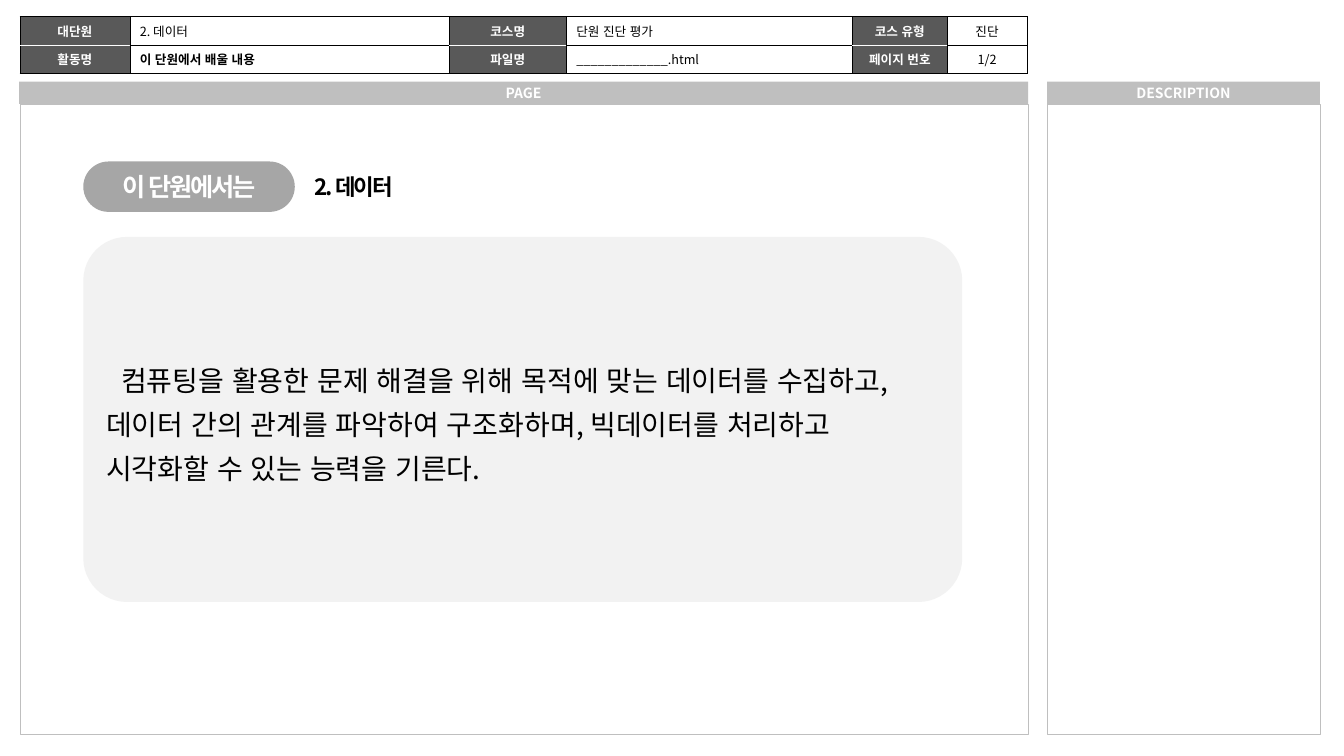
import pptx
import pptx.util
import pptx.dml.color
import pptx.enum.lang
import pptx.enum.shapes
import pptx.enum.text
import pptx.oxml
import pptx.oxml.ns

Cm = pptx.util.Cm
RGB = pptx.dml.color.RGBColor
ALIGN = pptx.enum.text.PP_ALIGN
ANCHOR = pptx.enum.text.MSO_ANCHOR
PRESET = pptx.enum.shapes.MSO_SHAPE

WHITE = RGB(0xFF, 0xFF, 0xFF)
BLACK = RGB(0, 0, 0)
LABEL_GRAY = RGB(0x59, 0x59, 0x59)
BAR_GRAY = RGB(0xBF, 0xBF, 0xBF)
PILL_GRAY = RGB(0xA6, 0xA6, 0xA6)
CARD_GRAY = RGB(0xF2, 0xF2, 0xF2)
FONT = "Noto Sans CJK KR"
HAIRLINE = pptx.util.Pt(0.25)
PLAIN_STYLE = "{2D5ABB26-0587-4C30-8999-92F81FD0307C}"

COLUMN_WIDTHS = [2.77, 8.05, 2.95, 7.21, 2.39, 2.01]
LABELS = [
    ["대단원", "", "코스명", "", "코스 유형", ""],
    ["활동명", "", "파일명", "", "페이지 번호", ""],
]
ENTRIES = [
    ["", "2. 데이터", "", "단원 진단 평가", "", "진단"],
    ["", "이 단원에서 배울 내용", "", "_____________.html", "", "1/2"],
]
GOAL = (
    "컴퓨팅을 활용한 문제 해결을 위해 목적에 맞는 데이터를 수집하고, "
    "데이터 간의 관계를 파악하여 구조화하며, 빅데이터를 처리하고 "
    "시각화할 수 있는 능력을 기른다."
)


def write(frame, text, size, color, bold=False, align=ALIGN.LEFT, spacing=0):
    paragraph = frame.paragraphs[0]
    paragraph.alignment = align
    if not text:
        paragraph._p.append(pptx.oxml.parse_xml(
            f'<a:endParaRPr {pptx.oxml.ns.nsdecls("a")} sz="{size * 100}"/>'
        ))
        return paragraph
    run = paragraph.add_run()
    run.text = text
    run.font.color.rgb = color
    formats = {
        "size": pptx.util.Pt(size), "bold": bold, "name": FONT,
        "language_id": pptx.enum.lang.MSO_LANGUAGE_ID.KOREAN,
    }
    for attribute, value in formats.items():
        setattr(run.font, attribute, value)
    properties = run.font._element
    properties.append(pptx.oxml.parse_xml(
        f'<a:ea {pptx.oxml.ns.nsdecls("a")} typeface="{FONT}"/>'
    ))
    if spacing:
        properties.set("spc", str(int(spacing * 100)))
    return paragraph


def add_block(slide, preset, box, fill, outline=None, rounding=None):
    block = slide.shapes.add_shape(preset, *map(Cm, box))
    block.shadow.inherit = False
    block.fill.solid()
    block.fill.fore_color.rgb = fill
    if outline is None:
        block.line.fill.background()
    else:
        block.line.color.rgb = outline
        block.line.width = HAIRLINE
    if rounding is not None:
        block.adjustments[0] = rounding
    block.text_frame.word_wrap = True
    block.text_frame.vertical_anchor = ANCHOR.MIDDLE
    return block


def set_borders(cell, colors):
    for side, color in colors.items():
        cell._tc.get_or_add_tcPr().append(pptx.oxml.parse_xml(
            f'<a:ln{side} {pptx.oxml.ns.nsdecls("a")} w="{int(HAIRLINE)}">'
            f'<a:solidFill><a:srgbClr val="{color}"/></a:solidFill></a:ln{side}>'
        ))


def add_grid(slide, texts, left, top, row_height):
    table = slide.shapes.add_table(
        len(texts), len(COLUMN_WIDTHS), Cm(left), Cm(top),
        Cm(sum(COLUMN_WIDTHS)), Cm(row_height * len(texts)),
    ).table
    table.first_row = table.horz_banding = False
    table._tbl.tblPr.find(pptx.oxml.ns.qn("a:tableStyleId")).text = PLAIN_STYLE
    for column, width in zip(table.columns, COLUMN_WIDTHS):
        column.width = Cm(width)
    for row in table.rows:
        row.height = Cm(row_height)
    for cell in table.iter_cells():
        cell.vertical_anchor = ANCHOR.MIDDLE
    return table


def add_labels(slide, left, top, row_height):
    table = add_grid(slide, LABELS, left, top, row_height)
    for r, labels in enumerate(LABELS):
        for c, label in enumerate(labels):
            cell = table.cell(r, c)
            borders = dict.fromkeys("LRTB", BLACK)
            if label:
                borders["B" if r == 0 else "T"] = WHITE
            set_borders(cell, borders)
            if label:
                cell.fill.solid()
                cell.fill.fore_color.rgb = LABEL_GRAY
            else:
                cell.fill.background()
            write(cell.text_frame, label, 9, WHITE, True, ALIGN.CENTER)


def add_entries(slide, left, top, row_height):
    table = add_grid(slide, ENTRIES, left, top, row_height)
    for r, entries in enumerate(ENTRIES):
        for c, entry in enumerate(entries):
            cell = table.cell(r, c)
            cell.fill.background()
            align = ALIGN.CENTER if c == len(entries) - 1 else ALIGN.LEFT
            write(cell.text_frame, entry, 9, BLACK, (r, c) == (1, 1), align)


def add_panel(slide, heading, left, top, width, height, overhang=0):
    bar_height = 0.56
    add_block(
        slide, PRESET.RECTANGLE,
        (left, top + bar_height, width, height - bar_height), WHITE, BAR_GRAY,
    )
    bar = add_block(
        slide, PRESET.ROUNDED_RECTANGLE,
        (left - overhang, top, width + overhang, bar_height), BAR_GRAY, rounding=0,
    )
    write(bar.text_frame, heading, 10, WHITE, True, ALIGN.CENTER)


def add_lesson(slide, left, top, width, height):
    pill_width, pill_height, card_offset = 5.33, 1.27, 1.9
    title = slide.shapes.title
    slide.shapes.element.append(title.element)
    placement = {
        "left": left + pill_width + 0.23, "top": top + 0.17,
        "width": 6.4, "height": 0.94,
    }
    for attribute, value in placement.items():
        setattr(title, attribute, Cm(value))
    title.text_frame.vertical_anchor = ANCHOR.TOP
    title.text_frame.auto_size = pptx.enum.text.MSO_AUTO_SIZE.SHAPE_TO_FIT_TEXT
    write(title.text_frame, "2. 데이터", 16, BLACK, True, spacing=-1.5)

    pill = add_block(
        slide, PRESET.ROUNDED_RECTANGLE,
        (left, top, pill_width, pill_height), PILL_GRAY, rounding=0.5,
    )
    write(pill.text_frame, "이 단원에서는", 18, WHITE, True, ALIGN.CENTER, -1.5)

    card = add_block(
        slide, PRESET.ROUNDED_RECTANGLE,
        (left, top + card_offset, width, height - card_offset),
        CARD_GRAY, rounding=0.12,
    )
    goal = write(card.text_frame, GOAL, 20, BLACK)
    goal.line_spacing = 1.3
    goal._p.get_or_add_pPr().set("indent", str(int(Cm(0.38))))


def main():
    deck = pptx.Presentation()
    deck.slide_width, deck.slide_height = Cm(33.87), Cm(19.05)
    slide = deck.slides.add_slide(deck.slide_layouts[5])
    add_labels(slide, 0.5, 0.41, 0.72)
    add_panel(slide, "PAGE", 0.51, 2.06, 25.4, 16.43, 0.03)
    add_panel(slide, "DESCRIPTION", 26.39, 2.06, 6.87, 16.43)
    add_entries(slide, 0.5, 0.41, 0.72)
    add_lesson(slide, 2.1, 4.07, 22.15, 11.1)
    deck.save("out.pptx")


if __name__ == "__main__":
    main()
